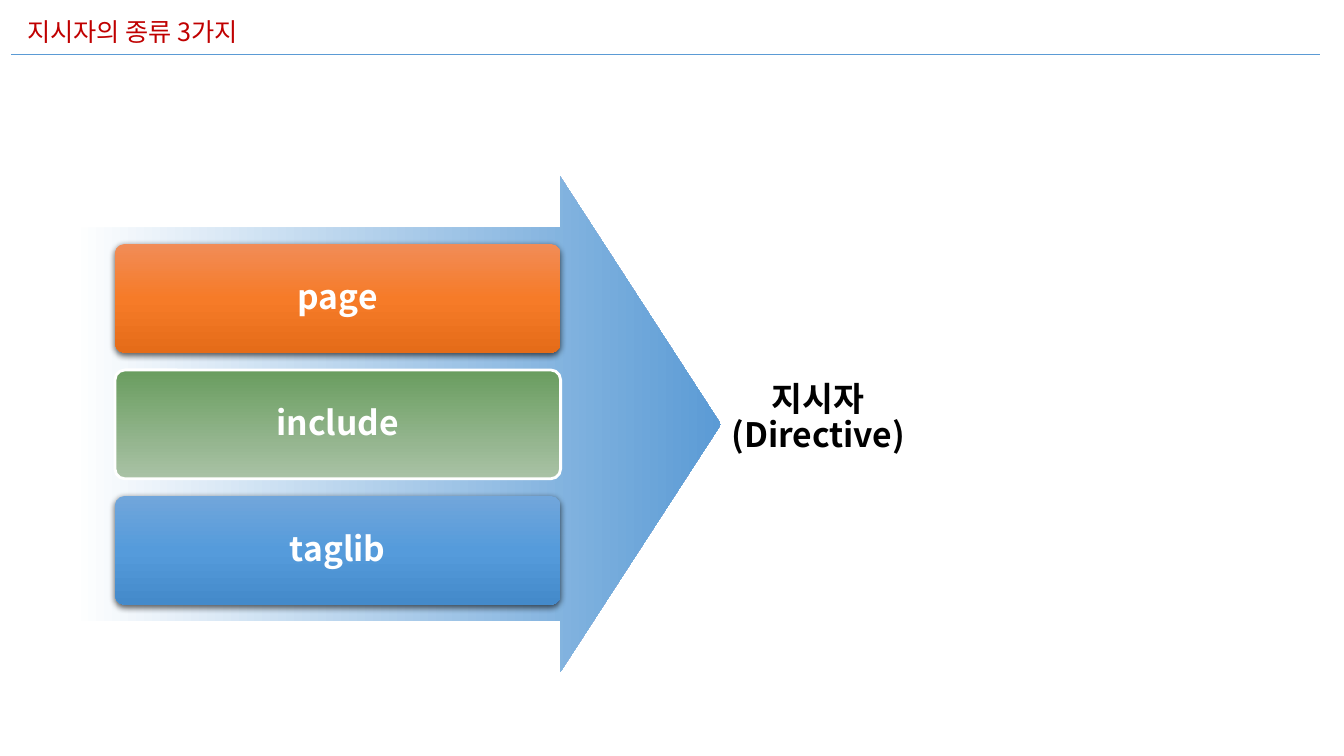
from pptx import Presentation
from pptx.dml.color import RGBColor
from pptx.enum.shapes import MSO_CONNECTOR as Connector, MSO_SHAPE as Shape
from pptx.enum.text import MSO_ANCHOR as Anchor, MSO_AUTO_SIZE as AutoSize, PP_ALIGN as Align
from pptx.oxml.ns import qn
from pptx.util import Inches, Pt
from lxml.etree import SubElement

FONT = "Noto Sans CJK KR"
WHITE = RGBColor(0xFF, 0xFF, 0xFF)
BLACK = RGBColor(0x00, 0x00, 0x00)
RED = RGBColor(0xC0, 0x00, 0x00)
BLUE = RGBColor(0x5B, 0x9B, 0xD5)
ORANGE_STOPS = [RGBColor(0xF1, 0x8C, 0x57), RGBColor(0xF6, 0x7B, 0x28), RGBColor(0xE5, 0x6C, 0x19)]
GREEN_STOPS = [RGBColor(0x69, 0x9D, 0x5F), RGBColor(0xAA, 0xC2, 0xA6)]
BLUE_STOPS = [RGBColor(0x71, 0xA6, 0xDB), RGBColor(0x55, 0x9B, 0xDB), RGBColor(0x44, 0x8A, 0xCA)]

# Name, gradient colours, outlined in white instead of shadowed
DIRECTIVES = [
    ("page", ORANGE_STOPS, False),
    ("include", GREEN_STOPS, True),
    ("taglib", BLUE_STOPS, False),
]


def write(shape, text, size=24, color=WHITE, bold=True, align=Align.CENTER,
          wrap=True, spacing=0.9):
    """Fill the shape with text, one paragraph for each line."""
    frame = shape.text_frame
    frame.text = text
    frame.word_wrap = wrap
    frame.auto_size = AutoSize.NONE
    frame.vertical_anchor = Anchor.MIDDLE
    for paragraph in frame.paragraphs:
        paragraph.alignment = align
        paragraph.line_spacing = spacing
        for run in paragraph.runs:
            font = run.font
            font.size, font.bold = Pt(size), bold
            font.color.rgb = color
            font.name = FONT
            SubElement(font._element, qn("a:ea"), typeface=FONT)


def add_plain_shape(slide, kind, box, adjustments):
    """Add a preset shape without fill, line or shadow."""
    shape = slide.shapes.add_shape(kind, *map(Inches, box))
    for index, value in enumerate(adjustments):
        shape.adjustments[index] = value
    shape.fill.background()
    shape.line.fill.background()
    shape.shadow.inherit = False
    return shape


def fill_gradient(shape, colors, angle):
    """Spread the colours evenly; the angle runs clockwise in degrees."""
    shape.fill.gradient()
    gradient = shape._element.spPr.find(qn("a:gradFill"))
    stops = gradient.find(qn("a:gsLst"))
    for stop in list(stops):
        stops.remove(stop)
    for index, color in enumerate(colors):
        position = index * 100000 // (len(colors) - 1)
        stop = SubElement(stops, qn("a:gs"), pos=str(position))
        SubElement(stop, qn("a:srgbClr"), val=str(color))
    gradient.find(qn("a:lin")).set("ang", str(angle * 60000))


def add_drop_shadow(shape):
    effects = shape._element.spPr.find(qn("a:effectLst"))
    shadow = SubElement(effects, qn("a:outerShdw"), blurRad=str(Pt(4.5)), dist=str(Pt(1.5)),
                        dir="5400000", algn="ctr", rotWithShape="0")
    color = SubElement(shadow, qn("a:srgbClr"), val=str(BLACK))
    SubElement(color, qn("a:alpha"), val="63000")


def add_header(slide, left, top, width):
    rule_y = Inches(top + 0.43)
    rule = slide.shapes.add_connector(Connector.STRAIGHT, Inches(left), rule_y,
                                      Inches(left + width), rule_y)
    rule.line.color.rgb = BLUE
    rule.line.width = Pt(1)
    SubElement(rule._element.spPr, qn("a:effectLst"))

    title = slide.shapes.title
    title.left, title.top = Inches(left + 0.06), Inches(top)
    title.width, title.height = Inches(4.68), Inches(0.4)
    write(title, "지시자의 종류 3가지", size=18, color=RED, bold=False,
          align=Align.LEFT, spacing=1)


def add_directive_arrow(slide, left, top, width, height):
    """Draw the arrow with the directives stacked in its shaft."""
    arrow = add_plain_shape(slide, Shape.RIGHT_ARROW, (left, top, width, height),
                            (0.793, 0.324))
    fill_gradient(arrow, [WHITE, BLUE], 0)

    card_width, card_height, pitch = 4.42, 1.08, 1.25
    first_top = top + (height - card_height) / 2 - pitch * (len(DIRECTIVES) - 1) / 2
    for row, (name, colors, outlined) in enumerate(DIRECTIVES):
        card = add_plain_shape(slide, Shape.ROUNDED_RECTANGLE,
                               (left + 0.42, first_top + row * pitch, card_width, card_height),
                               (0.091,))
        fill_gradient(card, colors, 90)
        if outlined:
            card.line.color.rgb = WHITE
            card.line.width = Pt(2)
        else:
            add_drop_shadow(card)
        write(card, name, wrap=False)


def add_result(slide, box):
    result = add_plain_shape(slide, Shape.ROUNDED_RECTANGLE, box, (0.091,))
    write(result, "지시자\n(Directive)", color=BLACK)


def main():
    deck = Presentation()
    deck.slide_width, deck.slide_height = Inches(13.33), Inches(7.5)
    slide = deck.slides.add_slide(deck.slide_layouts[5])
    add_header(slide, 0.11, 0.11, 12.98)
    add_directive_arrow(slide, 0.72, 1.75, 6.43, 4.92)
    add_result(slide, (6.74, 3.44, 2.75, 1.42))
    deck.save("out.pptx")


if __name__ == "__main__":
    main()
